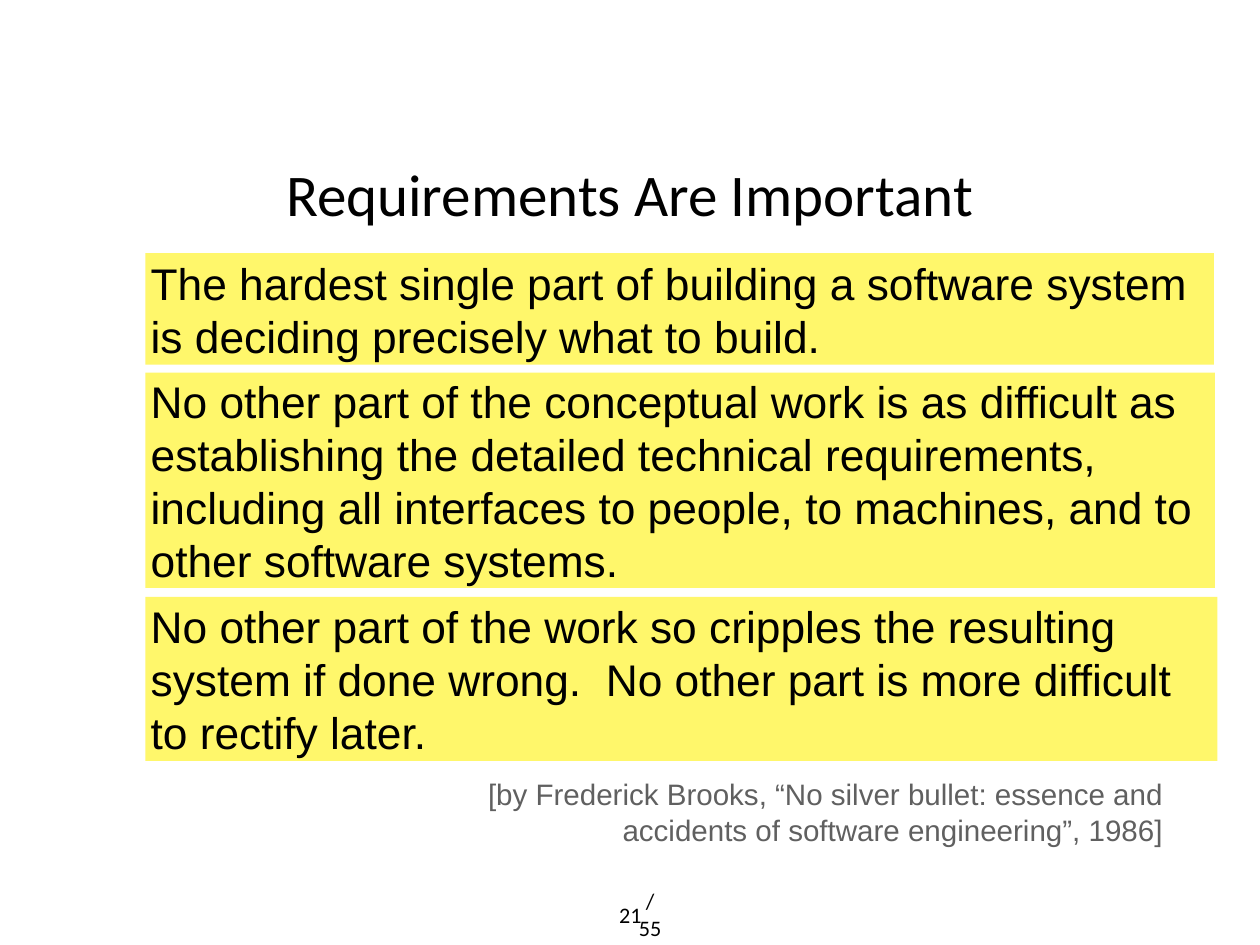
import pptx
import pptx.util
import pptx.dml.color
import pptx.enum.shapes
import pptx.enum.text

Cm = pptx.util.Cm
ALIGN = pptx.enum.text.PP_ALIGN
ANCHOR = pptx.enum.text.MSO_ANCHOR


def rgb(hex_string):
    return pptx.dml.color.RGBColor.from_string(hex_string)


def write(shape, text, font, size, color="000000", align=ALIGN.LEFT, anchor=ANCHOR.MIDDLE):
    """Put one wrapped paragraph into the shape and format it."""
    frame = shape.text_frame
    frame.word_wrap = True
    frame.vertical_anchor = anchor
    frame.margin_left = frame.margin_right = Cm(0.15)
    frame.margin_top = frame.margin_bottom = Cm(0.15)
    paragraph = frame.paragraphs[0]
    paragraph.text = text
    paragraph.alignment = align
    run_font = paragraph.runs[0].font
    run_font.name = font
    run_font.size = pptx.util.Pt(size)
    run_font.color.rgb = rgb(color)


presentation = pptx.Presentation()
presentation.slide_width = Cm(36.12)
presentation.slide_height = Cm(27.1)
slide = presentation.slides.add_slide(presentation.slide_layouts[6])

title = slide.shapes.add_textbox(Cm(3.53), Cm(2.69), Cm(29.06), Cm(5.69))
write(title, "Requirements Are Important", "Calibri", 48, align=ALIGN.CENTER)

citation = slide.shapes.add_textbox(Cm(13.13), Cm(21.39), Cm(20.35), Cm(3.78))
write(citation,
      "[by Frederick Brooks, “No silver bullet: essence and accidents of software engineering”, 1986]",
      "Arial", 24, "606060", ALIGN.RIGHT)

# Page number and page total: text, left, width, anchor
for text, left, width, anchor in [
    ("21", 17.57, 1, ANCHOR.TOP),
    ("/55", 18.07, 1.14, ANCHOR.MIDDLE),
]:
    page_label = slide.shapes.add_textbox(Cm(left), Cm(25.7), Cm(width), Cm(1.02))
    write(page_label, text, "Calibri", 18, align=ALIGN.CENTER, anchor=anchor)

# Quotations: top, width, height, text
quotations = [
    (7.26, 30.63, 3.2,
     "The hardest single part of building a software system is deciding precisely what to build."),
    (10.69, 30.66, 6.17,
     "No other part of the conceptual work is as difficult as establishing the detailed "
     "technical requirements, including all interfaces to people, to machines, and to "
     "other software systems."),
    (17.12, 30.73, 4.7,
     "No other part of the work so cripples the resulting system if done wrong.  "
     "No other part is more difficult to rectify later."),
]
for top, width, height, text in quotations:
    quotation = slide.shapes.add_shape(
        pptx.enum.shapes.MSO_SHAPE.RECTANGLE, Cm(4.17), Cm(top), Cm(width), Cm(height))
    quotation.shadow.inherit = False
    quotation.fill.solid()
    quotation.fill.fore_color.rgb = rgb("FFF76B")
    quotation.line.fill.background()
    write(quotation, text, "Arial", 36)

presentation.save("out.pptx")
